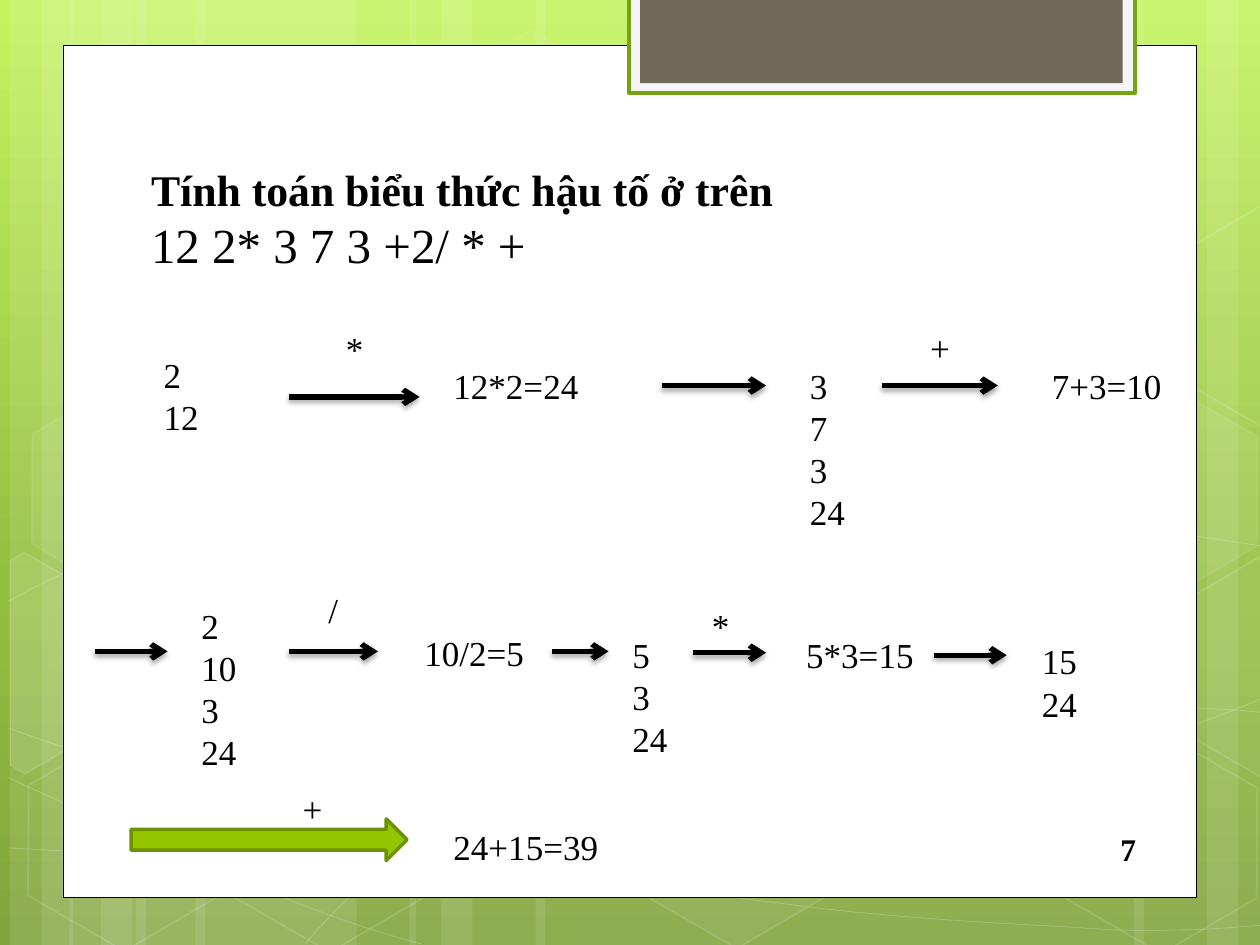
from math import cos, radians, sin

from lxml import etree
from pptx import Presentation
from pptx.dml.color import RGBColor
from pptx.enum.shapes import MSO_CONNECTOR, MSO_SHAPE
from pptx.enum.text import MSO_AUTO_SIZE, PP_ALIGN
from pptx.oxml.ns import qn
from pptx.util import Inches, Pt

RECT, HEX, BLOCK = MSO_SHAPE.RECTANGLE, MSO_SHAPE.HEXAGON, MSO_SHAPE.RIGHT_ARROW
STRAIGHT, GROW = MSO_CONNECTOR.STRAIGHT, MSO_AUTO_SIZE.SHAPE_TO_FIT_TEXT
LEFT, CENTER = PP_ALIGN.LEFT, PP_ALIGN.CENTER

WIDE, HIGH, TILT = 10, 7.5, 30
THEME = {
    "font": "Times New Roman", "ink": "000000", "white": "FFFFFF",
    "head": 25, "lead": 28, "body": 20, "page": 18,
    "sky": [(0, "C3F35F"), (62, "93BF3F"), (100, "81A53E")],
    "pale": "F5F5F5", "edge": "74A510", "tab": "71685A",
    "lime": "94C600", "moss": "6D9200",
}

TITLE = ["Tính toán biểu thức hậu tố ở trên", "12 2* 3 7 3 +2/ * + "]
# left, top, width, lines from the top of the stack down
STACKS = [
    (1.2, 2.76, 1.08, ["2", "12"]),
    (6.33, 2.84, 0.67, ["3", "7", "3", "24"]),
    (1.5, 4.75, 0.58, ["2", "10", "3", "24"]),
    (4.92, 4.98, 0.71, ["5", "3", "24"]),
    (8.17, 5.03, 0.58, ["15", "24"]),
]
SUMS = [
    (3.5, 2.84, 1.75, ["12*2=24"]), (8.25, 2.84, 1.17, ["7+3=10"]),
    (3.27, 4.96, 1.09, ["10/2=5"]), (6.3, 4.98, 1.16, ["5*3=15"]),
    (3.5, 6.5, 2.22, ["24+15=39"]),
]
SIGNS = [
    (2.4, 2.55, 0.83, ["*"]), (7, 2.54, 0.92, ["+"]), (2.29, 4.62, 0.71, ["/"]),
    (5.43, 4.75, 0.58, ["*"]), (2.14, 6.2, 0.68, ["+"]),
]
# from x, to x, y
ARROWS = [
    (2.29, 3.33, 3.15), (5.25, 6.08, 3.06), (7, 7.92, 3.06),
    (0.75, 1.33, 5.17), (2.29, 3, 5.17), (4.38, 4.83, 5.17),
    (5.5, 6.08, 5.18), (7.41, 7.99, 5.2),
]

# left, width
STRIPES = [
    (1.08, 1.75), (0.08, 0.5), (0.33, 0.83), (1.55, 1.75), (0.55, 0.5), (0.8, 0.83),
    (7.33, 1.75), (9.58, 0.5), (9, 0.83), (4.25, 3.08), (3.25, 0.5), (3.5, 0.83),
]
# start point, then two handles and an end point for each bend
CURVES = [
    [(0.07, 6.73), (0.61, 6.76), (1.15, 6.79), (1.9, 6.78), (2.65, 6.77), (3.58, 6.75),
     (4.58, 6.65), (5.58, 6.55), (7, 6.36), (7.92, 6.17), (8.83, 5.98), (9.77, 5.68),
     (10.07, 5.51)],
    [(0.07, 4.77), (0.36, 4.61), (0.65, 4.46), (1.21, 4.31), (1.78, 4.16), (2.59, 3.94),
     (3.47, 3.87), (4.36, 3.8), (5.44, 3.79), (6.54, 3.87), (7.64, 3.95), (9.47, 4.26),
     (10.07, 4.34)],
    [(0.06, 6.17), (1.27, 6.72), (2.47, 7.27), (3.34, 7.49)],
    [(0.07, 5.78), (0.38, 5.89), (0.7, 6), (1.28, 6.16), (1.86, 6.31), (2.73, 6.56),
     (3.57, 6.73), (4.4, 6.9), (5.45, 7.08), (6.28, 7.18), (7.11, 7.29), (8, 7.33),
     (8.53, 7.36), (9.05, 7.4), (9.19, 7.38), (9.45, 7.38), (9.71, 7.37), (9.89, 7.35),
     (10.07, 7.34)],
    [(2.42, 7.49), (2.6, 7.29), (2.78, 7.09), (3.02, 6.91), (3.26, 6.73), (3.6, 6.53),
     (3.88, 6.39), (4.16, 6.25), (4.33, 6.19), (4.7, 6.09), (5.06, 5.99), (5.73, 5.85),
     (6.08, 5.78), (6.44, 5.71), (6.49, 5.71), (6.8, 5.69), (7.11, 5.66), (7.6, 5.63),
     (7.94, 5.62), (8.29, 5.61), (8.86, 5.62), (8.86, 5.62), (9.08, 5.62), (9.31, 5.62),
     (9.53, 5.62), (9.71, 5.63), (9.88, 5.64), (9.97, 5.65), (10.06, 5.66), (10.03, 5.65),
     (10.06, 5.66)],
]
# left, top, fill opacity, line opacity
CELLS = [
    (3.34, 0.36, 4, 8), (4.97, 5.89, 6, 12), (0.11, 5.91, 0, 12), (0.14, 3.12, 7, 8),
    (1.74, 5.92, 0, 12), (7.53, 4.53, 10, 12), (8.34, 5.93, 0, 12), (8.34, 3.14, 7, 8),
]
# corners as seen, centre of the tilt, fill opacity
CUTS = [
    ([(0.08, 4.45), (0.19, 4.38), (0.96, 4.82), (0.95, 5.7), (0.2, 6.14), (0.08, 6.07)],
     (0.36, 5.35), 10),
    ([(9.26, 4.85), (10.01, 4.41), (10.09, 4.46), (10.09, 6.13), (10.02, 6.17),
      (9.26, 5.73)], (9.85, 5.2), 4),
    ([(9.26, 2.07), (10.01, 1.63), (10.1, 1.68), (10.09, 3.35), (10.02, 3.39),
      (9.26, 2.95)], (9.85, 2.41), 0),
]


def color(name):
    """Return a theme colour."""
    return RGBColor.from_string(THEME[name])


def fade(node, share):
    """Set the opacity, in percent, of the colours in a node."""
    for tone in node.iter(qn("a:srgbClr")):
        etree.SubElement(tone, qn("a:alpha"), val=str(share * 1000))


def paint(shape, fill=None, line=None, width=1.0, fill_fade=100, line_fade=100):
    """Give a shape its fill and line, without a shadow."""
    shape.shadow.inherit = False
    if fill and fill_fade:
        shape.fill.solid()
        shape.fill.fore_color.rgb = color(fill)
        if fill_fade < 100:
            fade(shape.element.spPr, fill_fade)
    else:
        shape.fill.background()
    if line:
        shape.line.color.rgb = color(line)
        shape.line.width = Pt(width)
        if line_fade < 100:
            fade(shape.element.spPr.find(qn("a:ln")), line_fade)
    else:
        shape.line.fill.background()


def add_form(shapes, kind, box, **look):
    """Add a preset shape in a box of inches."""
    form = shapes.add_shape(kind, *map(Inches, box))
    paint(form, **look)
    return form


def add_path(shapes, points, close, **look):
    """Add an outline through points in inches."""
    spots = [(Inches(x), Inches(y)) for x, y in points]
    pen = shapes.build_freeform(*spots[0])
    pen.add_line_segments(spots[1:], close=close)
    form = pen.convert_to_shape()
    paint(form, **look)
    return form


def bend(form):
    """Turn each three straight pieces of an outline into a cubic curve."""
    legs = list(form.element.iter(qn("a:lnTo")))
    for i in range(0, len(legs), 3):
        curve = etree.Element(qn("a:cubicBezTo"))
        legs[i].addprevious(curve)
        for leg in legs[i:i + 3]:
            curve.append(leg[0])
            leg.getparent().remove(leg)


def turn(points, mid, angle):
    """Turn points about a centre."""
    c, s = cos(radians(angle)), sin(radians(angle))
    moves = [(x - mid[0], y - mid[1]) for x, y in points]
    return [(mid[0] + x * c - y * s, mid[1] + x * s + y * c) for x, y in moves]


def add_text(shapes, left, top, width, lines, sizes=("body",), bold=(False,),
             align=LEFT, wrap=True):
    """Add a text box with one paragraph a line."""
    high = 0.1 + sum(THEME[sizes[i % len(sizes)]] for i in range(len(lines))) / 60
    frame = shapes.add_textbox(*map(Inches, (left, top, width, high))).text_frame
    frame.text = "\n".join(lines)
    frame.word_wrap, frame.auto_size = wrap, GROW
    for i, para in enumerate(frame.paragraphs):
        para.alignment = align
        font = para.runs[0].font
        font.name, font.size = THEME["font"], Pt(THEME[sizes[i % len(sizes)]])
        font.bold, font.color.rgb = bold[i % len(bold)], color("ink")


def add_arrow(shapes, start, end, row):
    """Add a level arrow with a soft shadow below."""
    arrow = shapes.add_connector(STRAIGHT, *map(Inches, (start, row, end, row)))
    arrow.line.color.rgb, arrow.line.width = color("ink"), Pt(3)
    props = arrow.element.spPr
    etree.SubElement(props.find(qn("a:ln")), qn("a:tailEnd"), type="arrow")
    glow = etree.SubElement(etree.SubElement(props, qn("a:effectLst")), qn("a:outerShdw"),
                            blurRad=str(Pt(3.1)), dist=str(Pt(1.8)), dir="5400000",
                            rotWithShape="0")
    etree.SubElement(glow, qn("a:srgbClr"), val=THEME["ink"])
    fade(glow, 35)


def add_sky(slide):
    """Fill the background from top to bottom."""
    fill = slide.background.fill
    fill.gradient()
    fill.gradient_angle = 270
    stops = slide.element.find(".//" + qn("a:gsLst"))
    for stop in list(stops):
        stops.remove(stop)
    for place, tone in THEME["sky"]:
        stop = etree.SubElement(stops, qn("a:gs"), pos=str(place * 1000))
        etree.SubElement(stop, qn("a:srgbClr"), val=tone)


def add_decor(shapes):
    """Add stripes, curves, cells and the white panel."""
    for left, width in STRIPES:
        add_form(shapes, RECT, (left, 0, width, HIGH), fill="white", fill_fade=10)
    for curve in CURVES:
        bend(add_path(shapes, curve, False, line="white", width=0.5, line_fade=20))
    for left, top, inner, outer in CELLS:
        cell = add_form(shapes, HEX, (left, top, 1.75, 1.52), fill="white", line="white",
                        fill_fade=inner, line_fade=outer)
        cell.adjustments[0], cell.rotation = 0.285, TILT
    for points, mid, inner in CUTS:
        cut = add_path(shapes, turn(points, mid, -TILT), True, fill="white", line="white",
                       fill_fade=inner, line_fade=12)
        cut.rotation = TILT
    add_form(shapes, RECT, (0.5, 0.36, 9, 6.76), fill="white", line="ink", width=0.5)
    add_form(shapes, RECT, (4.99, -0.02, 4.02, 0.76), fill="pale", line="edge", width=2)
    add_form(shapes, RECT, (5.08, -0.02, 3.83, 0.68), fill="tab")


def build():
    """Build the slide and save it."""
    deck = Presentation()
    deck.slide_width, deck.slide_height = Inches(WIDE), Inches(HIGH)
    slide = deck.slides.add_slide(deck.slide_layouts[6])
    shapes = slide.shapes
    add_sky(slide)
    add_decor(shapes)
    add_text(shapes, 1.1, 1.24, 7.75, TITLE, ("head", "lead"), (True, False))
    for item in STACKS + SUMS:
        add_text(shapes, *item)
    for item in ARROWS:
        add_arrow(shapes, *item)
    add_form(shapes, BLOCK, (1.04, 6.5, 2.19, 0.33), fill="lime", line="moss", width=2)
    for item in SIGNS:
        add_text(shapes, *item, align=CENTER)
    add_text(shapes, 8.79, 6.54, 0.33, ["7"], ("page",), (True,), CENTER, False)
    deck.save("out.pptx")


build()
